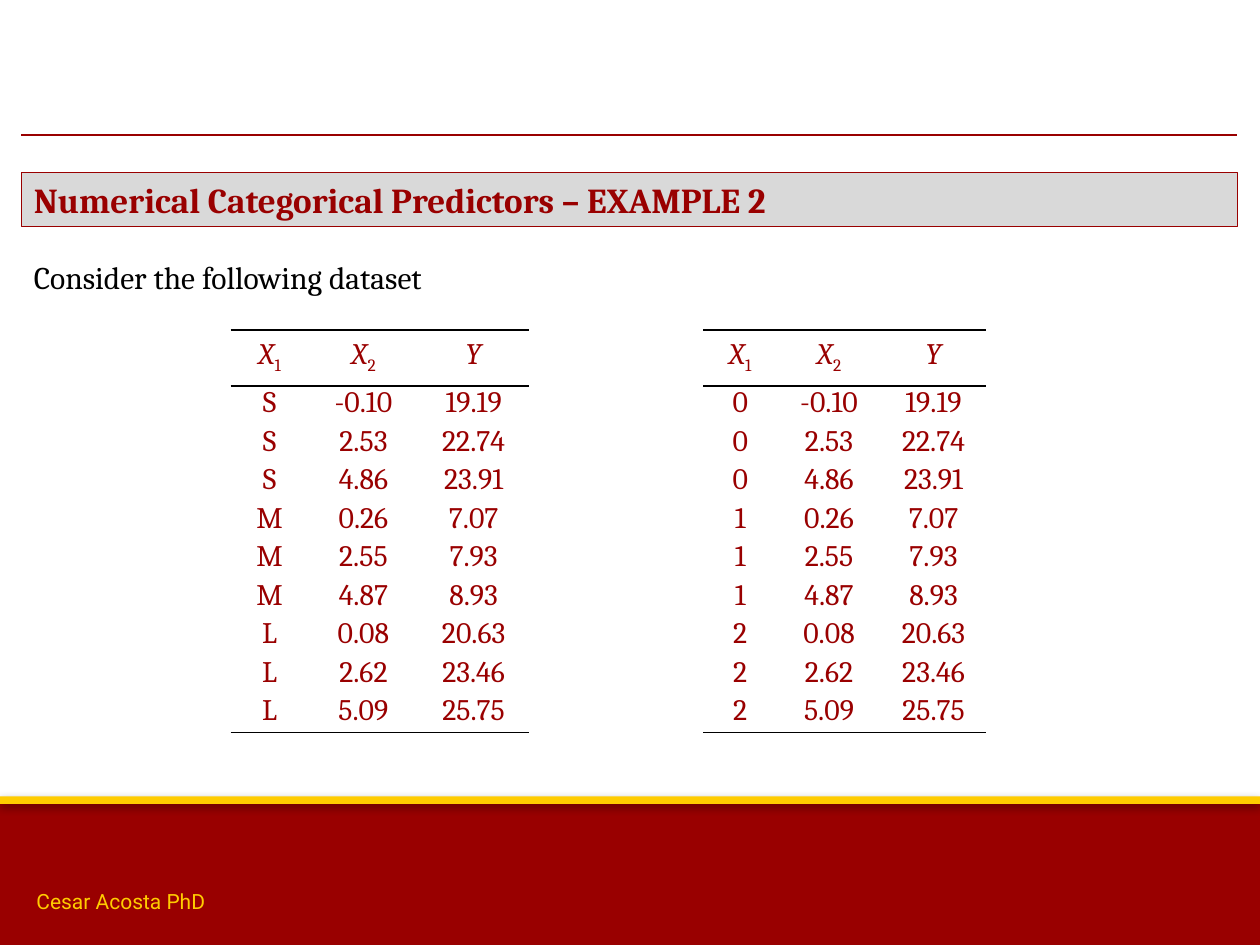
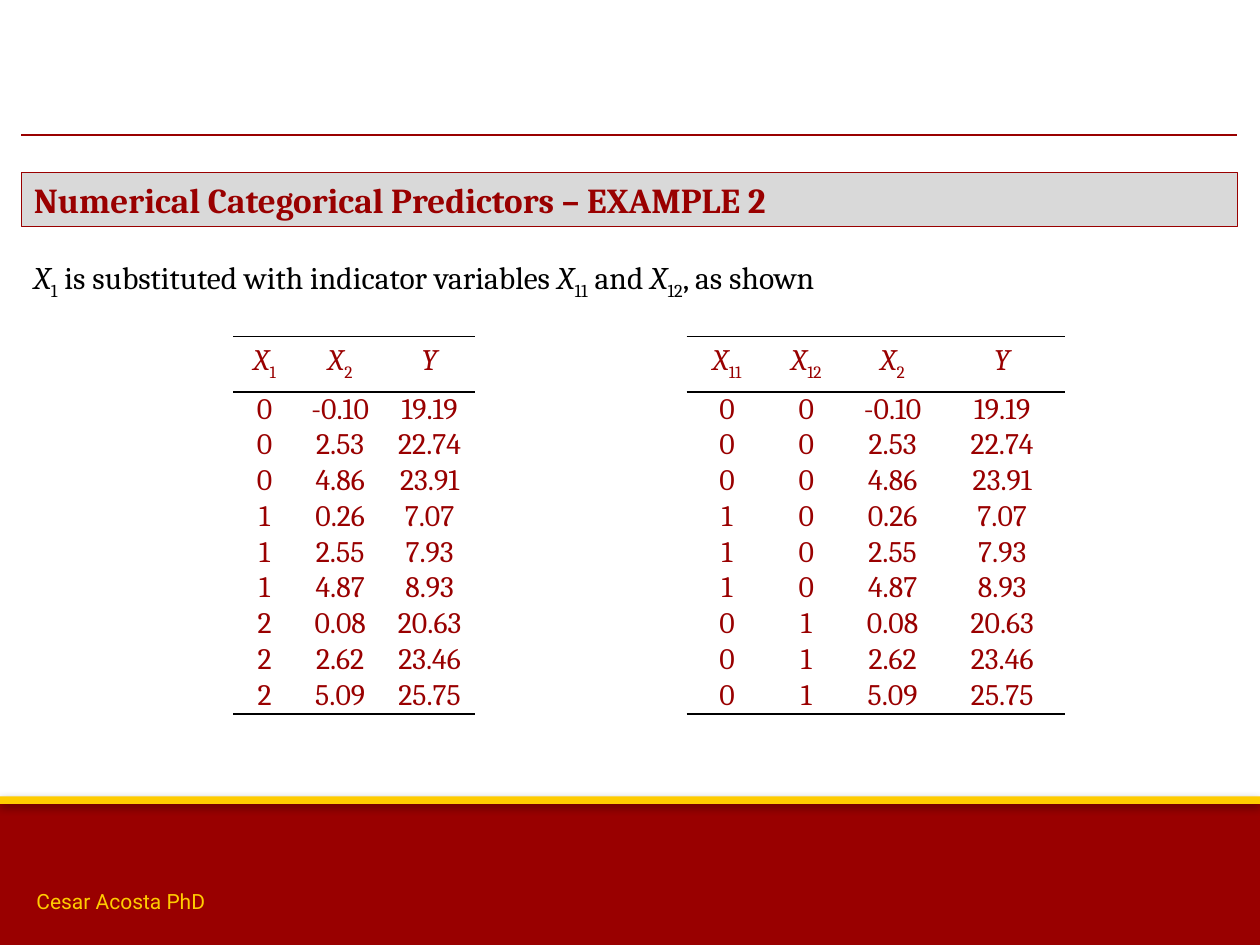
from pptx import Presentation
from pptx.dml.color import RGBColor
from pptx.enum.shapes import MSO_SHAPE
from pptx.enum.text import MSO_ANCHOR, PP_ALIGN
from pptx.oxml import parse_xml
from pptx.oxml.ns import nsdecls, qn
from pptx.util import Inches, Pt

RECT = MSO_SHAPE.RECTANGLE
CENTER = PP_ALIGN.CENTER
LEFT = PP_ALIGN.LEFT
BOTTOM = MSO_ANCHOR.BOTTOM

RED = "990000"
GOLD = "FFCC00"
GRAY = "D9D9D9"
BLACK = "000000"
SERIF = "Cambria"
SANS = "Roboto"
PLAIN = "{2D5ABB26-0587-4C30-8999-92F81FD0307C}"
EDGE, WIDTH = 0.17, 9.65
TITLE = "Numerical Categorical Predictors – EXAMPLE 2"
AUTHOR = "Cesar Acosta PhD"

BANDS = [(6.35, 1.15, RED, 35, 1.8), (6.32, 0.06, GOLD, 38, 1.6)]

X2 = ["-0.10", "2.53", "4.86", "0.26", "2.55", "4.87", "0.08", "2.62", "5.09"]
Y = ["19.19", "22.74", "23.91", "7.07", "7.93", "8.93", "20.63", "23.46", "25.75"]
HEADS = ["X|_1", "X|_2", "Y"]
SIZES = [list("SSSMMMLLL"), X2, Y]
CODES = [list("000111222"), X2, Y]
FLAGS = [list("000111000"), list("000000111"), X2, Y]

SLIDES = [
    ("Consider the following dataset", 2.62, 3.18, 0.43, [
        (1.83, [0.62, 0.87, 0.88], HEADS, SIZES),
        (5.58, [0.59, 0.82, 0.84], HEADS, CODES),
    ]),
    ("X|_1| is substituted with indicator variables |X|_11| and |X|_12|, as shown",
     2.67, 2.95, 0.4, [
         (5.45, [0.64, 0.62, 0.75, 0.99], ["X|_11", "X|_12", "X|_2", "Y"], FLAGS),
         (1.85, [0.5, 0.7, 0.72], HEADS, CODES),
     ]),
]


def write(para, text, size, color, face=SERIF, align=LEFT):
    para.alignment = align
    para.font.size = Pt(size)
    para.font.name = face
    para.font.color.rgb = RGBColor.from_string(color)
    for part in text.split("|"):
        run = para.add_run()
        run.text = part.lstrip("_")
        if part in ("X", "Y"):
            run.font.italic = True
        if part.startswith("_"):
            run.font._element.set("baseline", "-25000")


def border(cell, sides, color):
    for side in "LRTB":
        paint = "<a:noFill/>"
        if side in sides:
            paint = f'<a:solidFill><a:srgbClr val="{color}"/></a:solidFill>'
        cell._tc.get_or_add_tcPr().append(parse_xml(
            f'<a:ln{side} {nsdecls("a")} w="{Pt(1)}">{paint}</a:ln{side}>'))
    cell.fill.background()


prs = Presentation()
prs.slide_width, prs.slide_height = Inches(10), Inches(7.5)

for intro, top, high, head, grids in SLIDES:
    slide = prs.slides.add_slide(prs.slide_layouts[6])
    shapes = slide.shapes

    for y, tall, color, alpha, dist in BANDS:
        band = shapes.add_shape(RECT, 0, Inches(y), Inches(10), Inches(tall))
        band.fill.solid()
        band.fill.fore_color.rgb = RGBColor.from_string(color)
        band.line.fill.background()
        band._element.spPr.append(parse_xml(
            f'<a:effectLst {nsdecls("a")}><a:outerShdw blurRad="{Pt(5)}" '
            f'dist="{Pt(dist)}" dir="5400000" rotWithShape="0"><a:srgbClr val="{BLACK}">'
            f'<a:alpha val="{alpha * 1000}"/></a:srgbClr></a:outerShdw></a:effectLst>'))

    rule = shapes.add_table(1, 1, Inches(EDGE), Inches(0.84),
                            Inches(WIDTH), Inches(0.23)).table
    rule.first_row = rule.horz_banding = False
    rule._tbl.tblPr.find(qn("a:tableStyleId")).text = PLAIN
    cell = rule.cell(0, 0)
    cell.margin_top = cell.margin_bottom = 0
    cell.text_frame.paragraphs[0].font.size = Pt(8)
    border(cell, "B", RED)

    foot = shapes.add_textbox(Inches(0.19), Inches(7), Inches(3.08), Inches(0.3))
    foot.text_frame.word_wrap = True
    write(foot.text_frame.paragraphs[0], AUTHOR, 12, GOLD, SANS)

    title = shapes.add_shape(RECT, Inches(EDGE), Inches(1.37), Inches(WIDTH), Inches(0.43))
    title.shadow.inherit = False
    title.fill.solid()
    title.fill.fore_color.rgb = RGBColor.from_string(GRAY)
    title.line.color.rgb = RGBColor.from_string(RED)
    title.line.width = Pt(0.75)
    frame = title.text_frame
    frame.vertical_anchor = BOTTOM
    frame.margin_top = 0
    para = frame.paragraphs[0]
    write(para, TITLE, 20, RED)
    para.font.bold = True
    para.line_spacing = 0.9

    body = shapes.add_textbox(Inches(EDGE), Inches(2), Inches(WIDTH), Inches(4.8))
    body.text_frame.word_wrap = True
    write(body.text_frame.paragraphs[0], intro, 18, BLACK)

    for left, wides, names, cols in grids:
        rows = [names, *zip(*cols)]
        last = len(rows) - 1
        table = shapes.add_table(len(rows), len(names), Inches(left), Inches(top),
                                 Inches(sum(wides)), Inches(high)).table
        table.first_row = table.horz_banding = False
        table._tbl.tblPr.find(qn("a:tableStyleId")).text = PLAIN
        for col, wide in zip(table.columns, wides):
            col.width = Inches(wide)
        for r, row in enumerate(rows):
            table.rows[r].height = Inches((high - head) / last if r else head)
            sides = {0: "TB", 1: "T", last: "B"}.get(r, "")
            for c, text in enumerate(row):
                cell = table.cell(r, c)
                cell.margin_left = cell.margin_right = Inches(0.09 if r else 0.12)
                cell.margin_top = cell.margin_bottom = Inches(0 if r else 0.06)
                para = cell.text_frame.paragraphs[0]
                write(para, text, 17, RED, align=CENTER)
                para.space_before = Pt(2 if r < 2 else 0)
                para.space_after = Pt(2 if r in (0, last) else 0)
                border(cell, sides, BLACK)

prs.save("out.pptx")
